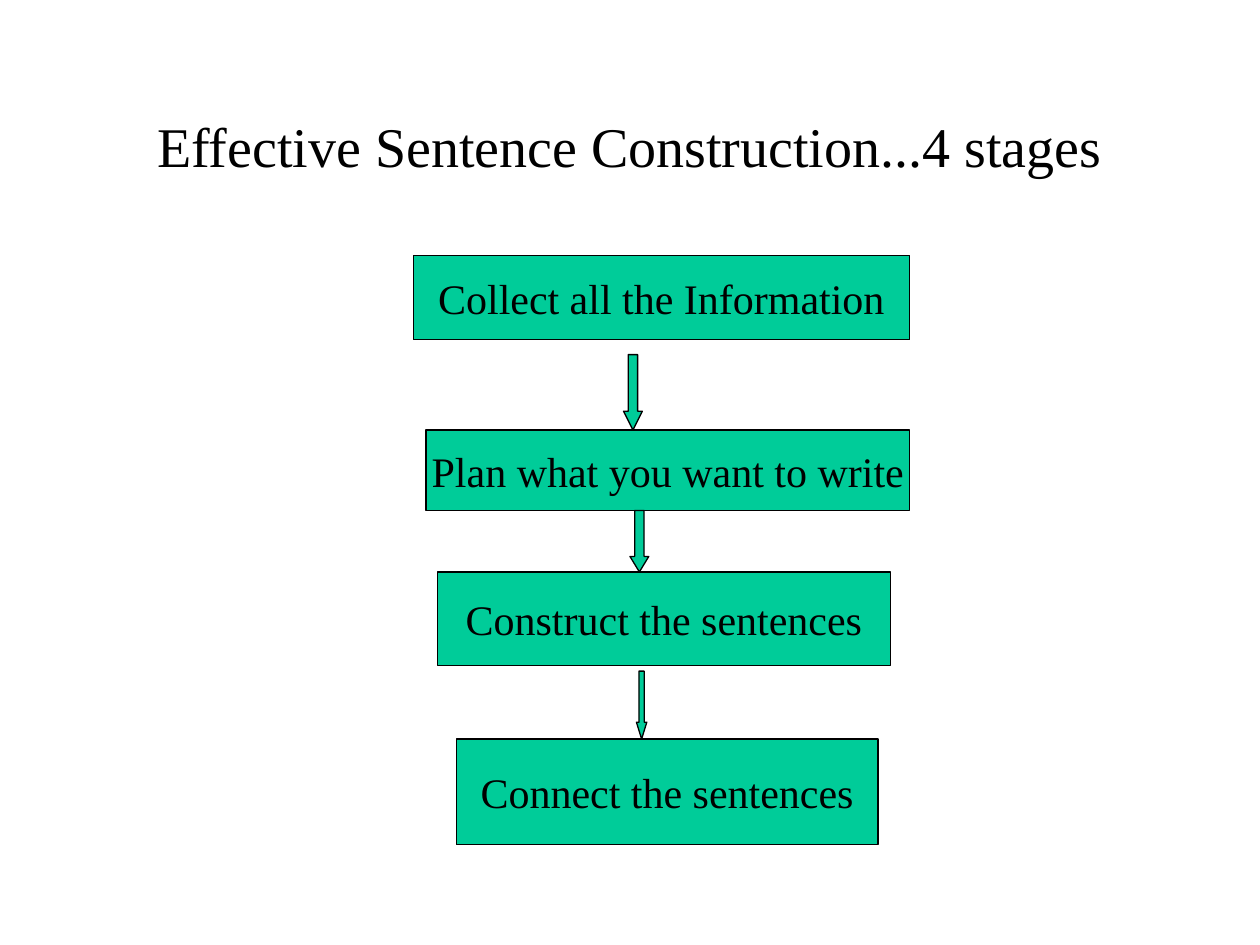
from pptx import Presentation
from pptx.dml.color import RGBColor
from pptx.enum.shapes import MSO_SHAPE
from pptx.enum.text import MSO_ANCHOR, PP_ALIGN
from pptx.util import Cm, Pt

PROCESS = MSO_SHAPE.FLOWCHART_PROCESS
DOWN_ARROW = MSO_SHAPE.DOWN_ARROW
MIDDLE = MSO_ANCHOR.MIDDLE
CENTER = PP_ALIGN.CENTER
TITLE_ONLY = 5

FONT = "Times New Roman"
BLACK = "000000"
GREEN = "00CC99"

TITLE = "Effective Sentence Construction...4 stages"
TITLE_BOX = (1.9, 1.7, 21.6, 2.46)
STAGES = [
    ("Collect all the Information", (8.33, 5.15, 10.01, 1.7)),
    ("Plan what you want to write", (8.59, 8.67, 9.75, 1.62)),
    ("Construct the sentences", (8.82, 11.53, 9.13, 1.88)),
    ("Connect the sentences", (9.2, 14.9, 8.5, 2.13)),
]
ARROWS = [
    {"left": 12.57, "top": 7.15, "width": 0.38, "head": 1},
    {"left": 12.7, "top": 10.29, "width": 0.38, "head": 0.82},
    {"left": 12.83, "top": 13.53, "width": 0.21, "head": 1.62},
]


def color(value):
    """Turn a hex string into a colour."""
    return RGBColor.from_string(value)


def write_text(shape, text, size, wrap=True):
    """Fill a shape with one centred line of text."""
    frame = shape.text_frame
    frame.word_wrap = wrap
    frame.vertical_anchor = MIDDLE
    paragraph = frame.paragraphs[0]
    paragraph.alignment = CENTER
    run = paragraph.add_run()
    run.text = text
    run.font.name = FONT
    run.font.size = Pt(size)
    run.font.color.rgb = color(BLACK)


def add_green_shape(slide, kind, box):
    """Add a green preset shape with a thin black outline."""
    shape = slide.shapes.add_shape(kind, *map(Cm, box))
    shape.shadow.inherit = False
    shape.fill.solid()
    shape.fill.fore_color.rgb = color(GREEN)
    shape.line.color.rgb = color(BLACK)
    shape.line.width = Pt(0.75)
    return shape


def main():
    """Build the slide and save it."""
    presentation = Presentation()
    presentation.slide_width, presentation.slide_height = Cm(25.4), Cm(19.05)
    slide = presentation.slides.add_slide(presentation.slide_layouts[TITLE_ONLY])

    title = slide.shapes.title
    title.left, title.top, title.width, title.height = map(Cm, TITLE_BOX)
    write_text(title, TITLE, size=32)

    for text, box in STAGES:
        write_text(add_green_shape(slide, PROCESS, box), text, size=24, wrap=False)

    for arrow, (_, next_box) in zip(ARROWS, STAGES[1:]):
        height = next_box[1] - arrow["top"]
        box = (arrow["left"], arrow["top"], arrow["width"], height)
        shape = add_green_shape(slide, DOWN_ARROW, box)
        shape.adjustments[0] = 0.5
        shape.adjustments[1] = arrow["head"]

    presentation.save("out.pptx")


if __name__ == "__main__":
    main()
